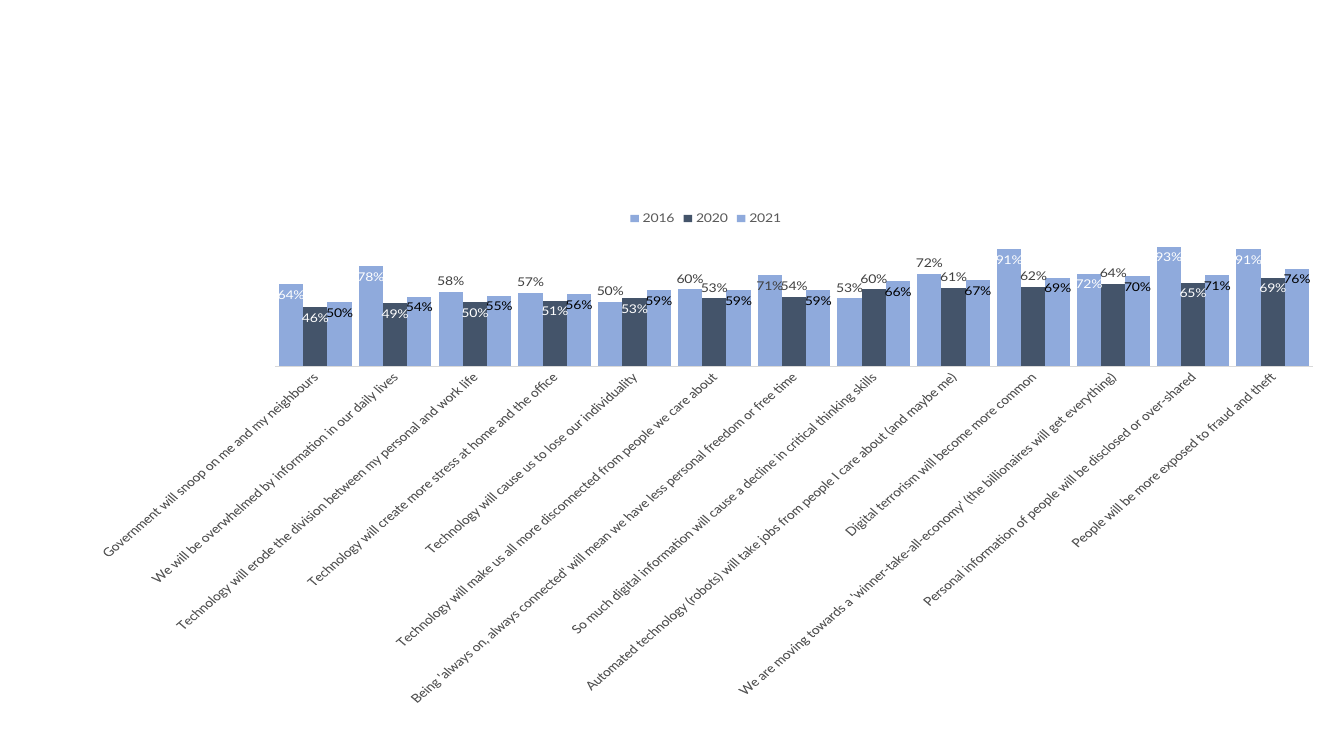
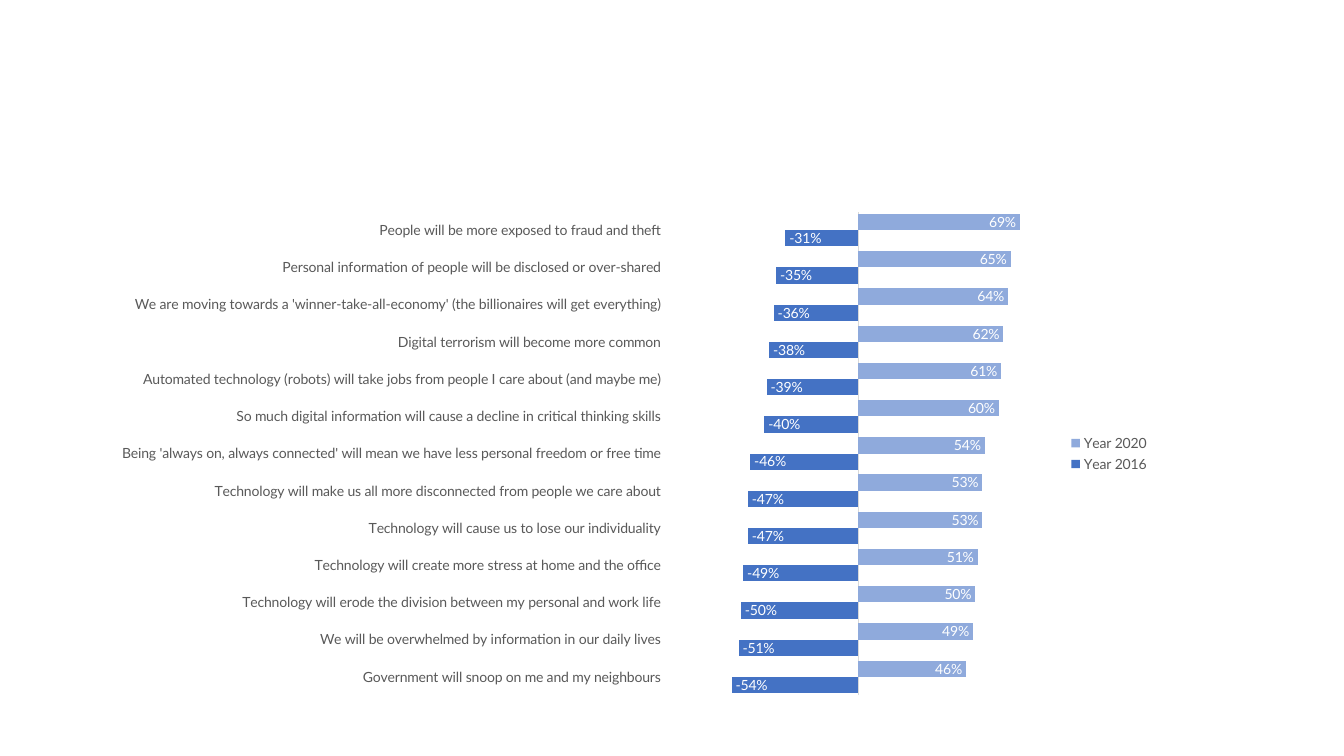
from dataclasses import dataclass

from pptx import Presentation
from pptx.chart.data import CategoryChartData
from pptx.dml.color import RGBColor
from pptx.enum import chart as ch
from pptx.util import Inches, Pt


# Theme shared by both slides
@dataclass(frozen=True)
class Theme:
    font: str = "Lato"
    size: int = 10
    black: str = "000000"
    white: str = "FFFFFF"
    dark: str = "404040"
    grey: str = "595959"
    rule: str = "D9D9D9"
    light_blue: str = "8FAADC"
    blue: str = "4472C4"
    slate: str = "44546A"


THEME = Theme()


@dataclass(frozen=True)
class Series:
    name: str
    values: tuple[float, ...]
    color: str
    label_color: str = THEME.white
    outside: tuple[int, ...] = ()  # points labelled above the bar
    dark: tuple[int, ...] = ()  # points with a dark label inside the bar


@dataclass(frozen=True)
class ChartSlide:
    kind: ch.XL_CHART_TYPE
    box: tuple[float, float, float, float]
    legend: ch.XL_LEGEND_POSITION
    tick_labels: ch.XL_TICK_LABEL_POSITION
    value_range: tuple[float, float]
    series: tuple[Series, ...]


# Survey data
CONCERNS = (
    "Government will snoop on me and my neighbours",
    "We will be overwhelmed by information in our daily lives",
    "Technology will erode the division between my personal and work life",
    "Technology will create more stress at home and the office",
    "Technology will cause us to lose our individuality",
    "Technology will make us all more disconnected from people we care about",
    "Being 'always on, always connected' will mean we have less personal freedom or free time",
    "So much digital information will cause a decline in critical thinking skills",
    "Automated technology (robots) will take jobs from people I care about (and maybe me)",
    "Digital terrorism will become more common",
    "We are moving towards a 'winner-take-all-economy' (the billionaires will get everything)",
    "Personal information of people will be disclosed or over-shared",
    "People will be more exposed to fraud and theft",
)
AGREE_2016 = (0.64, 0.78, 0.58, 0.57, 0.50, 0.60, 0.71, 0.53, 0.72, 0.91, 0.72, 0.93, 0.91)
AGREE_2020 = (0.46, 0.49, 0.50, 0.51, 0.53, 0.53, 0.54, 0.60, 0.61, 0.62, 0.64, 0.65, 0.69)
AGREE_2021 = (0.50, 0.54, 0.55, 0.56, 0.59, 0.59, 0.59, 0.66, 0.67, 0.69, 0.70, 0.71, 0.76)
REST_2020 = tuple(round(v - 1, 2) for v in AGREE_2020)

SLIDES = (
    ChartSlide(
        ch.XL_CHART_TYPE.COLUMN_CLUSTERED, (0.73, 2, 12.54, 5),
        ch.XL_LEGEND_POSITION.TOP, ch.XL_TICK_LABEL_POSITION.NEXT_TO_AXIS, (0, 1),
        (
            Series("2016", AGREE_2016, THEME.light_blue, outside=(2, 3, 4, 5, 7, 8), dark=(6,)),
            Series("2020", AGREE_2020, THEME.slate, outside=(5, 6, 7, 8, 9, 10)),
            Series("2021", AGREE_2021, THEME.light_blue, THEME.black),
        ),
    ),
    ChartSlide(
        ch.XL_CHART_TYPE.BAR_CLUSTERED, (1, 2, 10.5, 5),
        ch.XL_LEGEND_POSITION.RIGHT, ch.XL_TICK_LABEL_POSITION.LOW, (-0.8, 0.8),
        (
            Series("Year 2016", REST_2020, THEME.blue),
            Series("Year 2020", AGREE_2020, THEME.light_blue),
        ),
    ),
)


def style_font(font, color: str) -> None:
    font.name = THEME.font
    font.size = Pt(THEME.size)
    font.color.rgb = RGBColor.from_string(color)


def style_series(plot_series, series: Series) -> None:
    plot_series.invert_if_negative = False
    plot_series.format.fill.solid()
    plot_series.format.fill.fore_color.rgb = RGBColor.from_string(series.color)

    labels = plot_series.data_labels
    labels.show_value = True
    labels.number_format = "0%"
    labels.number_format_is_linked = False
    labels.position = ch.XL_LABEL_POSITION.INSIDE_END
    style_font(labels.font, series.label_color)

    # Labels that differ from the rest of their series
    for i in series.outside + series.dark:
        label = plot_series.points[i].data_label
        style_font(label.font, THEME.dark)
        label.position = (ch.XL_LABEL_POSITION.OUTSIDE_END if i in series.outside
                          else ch.XL_LABEL_POSITION.INSIDE_END)


def add_chart_slide(prs, spec_: ChartSlide) -> None:
    s = prs.slides.add_slide(prs.slide_layouts[6])
    data = CategoryChartData(number_format="0%")
    data.categories = CONCERNS
    for series in spec_.series:
        data.add_series(series.name, series.values)
    box = [Inches(v) for v in spec_.box]
    chart = s.shapes.add_chart(spec_.kind, *box, data).chart
    chart.has_title = False
    style_font(chart.font, THEME.black)

    # Legend
    chart.has_legend = True
    chart.legend.position = spec_.legend
    chart.legend.include_in_layout = False
    style_font(chart.legend.font, THEME.grey)

    # Axes
    axis = chart.category_axis
    axis.major_tick_mark = axis.minor_tick_mark = ch.XL_TICK_MARK.NONE
    axis.tick_label_position = spec_.tick_labels
    axis.format.line.color.rgb = RGBColor.from_string(THEME.rule)
    axis.format.line.width = Pt(0.75)
    style_font(axis.tick_labels.font, THEME.grey)
    values = chart.value_axis
    values.minimum_scale, values.maximum_scale = spec_.value_range
    values.has_major_gridlines = False
    values.visible = False

    # Bars
    plot = chart.plots[0]
    plot.vary_by_categories = False
    plot.gap_width = 29
    plot.overlap = 0
    for plot_series, series in zip(plot.series, spec_.series):
        style_series(plot_series, series)


def main() -> None:
    prs = Presentation()
    prs.slide_width = Inches(13.33)
    prs.slide_height = Inches(7.5)
    for chart_slide in SLIDES:
        add_chart_slide(prs, chart_slide)
    prs.save("out.pptx")


if __name__ == "__main__":
    main()
